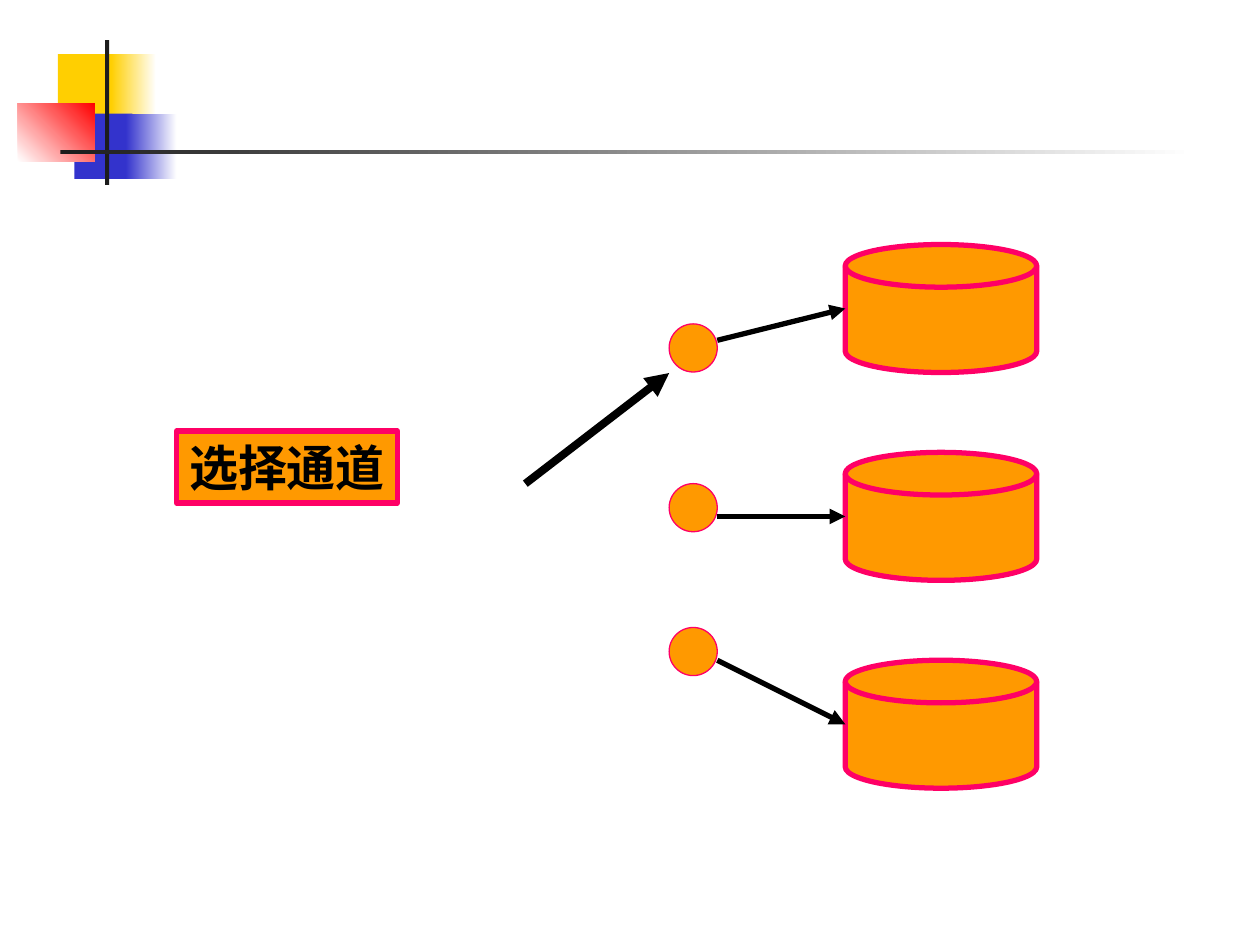
from pptx import Presentation, util as u
from pptx.dml.color import RGBColor
from pptx.enum import shapes, text
from pptx.oxml.ns import qn
from lxml import etree

MSO = shapes.MSO_SHAPE


def rgb(value):
    return RGBColor.from_string(value)


class Deck:
    """Holds the style and the current slide and draws each kind of element."""

    fill, edge, ink, dark, paper = "FF9900", "FF0066", "000000", "1C1C1C", "FFFFFF"
    label_font = {"name": "Times New Roman", "size": u.Pt(28), "bold": True}
    label_frame = {
        "word_wrap": False,
        "auto_size": text.MSO_AUTO_SIZE.SHAPE_TO_FIT_TEXT,
        "vertical_anchor": text.MSO_ANCHOR.MIDDLE,
    }

    def __init__(self, width, height):
        self.prs = Presentation()
        self.prs.slide_width, self.prs.slide_height = u.Cm(width), u.Cm(height)
        self.s = self.prs.slides.add_slide(self.prs.slide_layouts[6])

    def shape(self, kind, box, fill=None, line=None):
        sp = self.s.shapes.add_shape(kind, *map(u.Cm, box))
        sp.shadow.inherit = False
        sp.fill.solid()
        sp.fill.fore_color.rgb = rgb(fill or self.fill)
        if line:
            sp.line.color.rgb = rgb(self.edge)
            sp.line.width = u.Pt(line)
        else:
            sp.line.fill.background()
        return sp

    def block(self, box, color):
        return self.shape(MSO.RECTANGLE, box, color)

    def fade(self, box, start, end, angle=0):
        sp = self.block(box, start)
        sp.fill.gradient()
        sp.fill.gradient_angle = angle
        for stop, color in zip(sp.fill.gradient_stops, (start, end)):
            stop.color.rgb = rgb(color)

    def disk(self, box):
        self.shape(MSO.FLOWCHART_MAGNETIC_DISK, box, line=3)

    def node(self, box):
        self.shape(MSO.FLOWCHART_CONNECTOR, box, line=0.75)

    def label(self, box, words):
        tf = self.shape(MSO.RECTANGLE, box, line=3).text_frame
        for key, value in self.label_frame.items():
            setattr(tf, key, value)
        p = tf.paragraphs[0]
        p.alignment = text.PP_ALIGN.CENTER
        r = p.add_run()
        r.text = words
        for key, value in self.label_font.items():
            setattr(r.font, key, value)
        r.font.color.rgb = rgb(self.ink)

    def arrow(self, start, end, width=3):
        ends = map(u.Cm, (*start, *end))
        c = self.s.shapes.add_connector(shapes.MSO_CONNECTOR.STRAIGHT, *ends)
        c.line.color.rgb = rgb(self.ink)
        c.line.width = u.Pt(width)
        etree.SubElement(c.line._get_or_add_ln(), qn("a:tailEnd"), type="triangle")
        etree.SubElement(c._element.spPr, qn("a:effectLst"))


def main():
    d = Deck(25.4, 19.05)

    yellow, blue, red = "FFCF01", "3333CC", "FF0000"
    d.block((1.17, 1.09, 1.22, 1.32), yellow)
    d.fade((2.24, 1.09, 0.91, 1.32), yellow, d.paper)
    d.block((1.5, 2.29, 1.17, 1.32), blue)
    d.fade((2.54, 2.29, 1.02, 1.32), blue, d.paper)
    d.fade((0.36, 2.08, 1.55, 1.17), d.paper, red, 45)
    d.block((2.12, 0.81, 0.08, 2.92), d.dark)
    d.fade((1.22, 3.02, 22.86, 0.08), d.dark, d.paper)

    disk_x, disk_w, disk_h = 17.04, 3.86, 2.58
    disk_tops = [4.93 + 4.19 * i for i in range(3)]
    node_x, node_size = 13.49, 0.97
    node_tops = (6.53, 9.75, 12.65)
    arrow_starts = (6.86, 10.41, 13.31)

    for top in disk_tops:
        d.disk((disk_x, top, disk_w, disk_h))
    d.label((3.56, 8.69, 4.45, 1.45), "选择通道")
    for top in node_tops:
        d.node((node_x, top, node_size, node_size))
    for y, top in zip(arrow_starts, disk_tops):
        d.arrow((node_x + node_size, y), (disk_x, top + disk_h / 2))
    d.arrow((10.59, 9.75), (node_x, 7.52), 4.5)

    d.prs.save("out.pptx")


if __name__ == "__main__":
    main()
